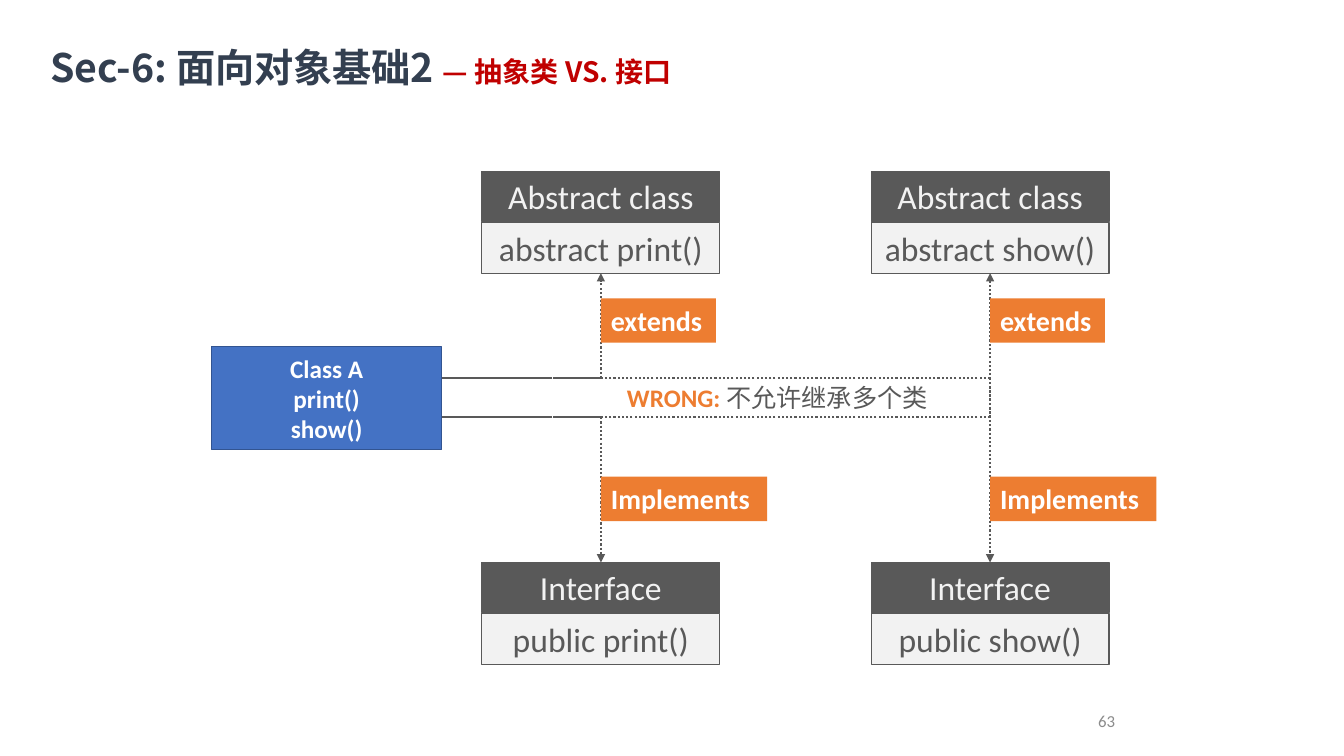
from lxml.etree import SubElement
from pptx import Presentation
from pptx.dml.color import RGBColor
from pptx.enum.dml import MSO_LINE_DASH_STYLE as DASH
from pptx.enum.shapes import MSO_CONNECTOR as CONN, MSO_SHAPE as SHAPE
from pptx.enum.text import MSO_ANCHOR as ANCHOR, MSO_AUTO_SIZE as AUTO, PP_ALIGN as ALIGN
from pptx.oxml.ns import qn
from pptx.util import Inches, Pt

LATIN, CJK = "Calibri", "Noto Sans CJK SC"
DARK, LIGHT, ORANGE, BLUE, WHITE = "595959", "F2F2F2", "ED7D31", "4472C4", "FFFFFF"

TITLE = [("Sec-6: 面向对象基础2 ", 28, "333F50", True, CJK),
         ("— 抽象类 VS. 接口", 20, "C00000", True, CJK)]
WARNING = [("WRONG: ", 18, ORANGE, True, LATIN),
           ("不允许继承多个类", 18, DARK, False, CJK)]
CLASS_A = ["Class A", "print()", "show()"]
METHODS = ["print()", "show()"]
ROWS = [
    {"head": "Abstract class", "prefix": "abstract", "top": 1.7, "tip": 2.71, "branch": 3.75,
     "label": "extends", "label_top": 2.96, "label_width": 1.14},
    {"head": "Interface", "prefix": "public", "top": 5.58, "tip": 5.58, "branch": 4.14,
     "label": "Implements", "label_top": 4.73, "label_width": 1.65},
]
BOX_LEFT, BOX_STEP, BOX_W, BOX_H = 4.78, 3.86, 2.36, 0.5
CLASS_LEFT, CLASS_TOP, CLASS_W, CLASS_H = 2.1, 3.44, 2.28, 1.02


def color(value):
    return RGBColor.from_string(value)


def style_run(r, size, hue, bold, face):
    r.font.size = Pt(size)
    r.font.bold = bold
    r.font.name = face
    r.font.color.rgb = color(hue)
    if face == CJK:
        SubElement(r._r.get_or_add_rPr(), qn("a:ea"), typeface=face)


def add_runs(p, parts):
    for text, *style in parts:
        r = p.add_run()
        r.text = text
        style_run(r, *style)


def add_box(s, x, y, w, h, lines, fill, edge, weight, size, hue, bold, align, anchor=ANCHOR.TOP):
    sp = s.shapes.add_shape(SHAPE.RECTANGLE, Inches(x), Inches(y), Inches(w), Inches(h))
    sp.shadow.inherit = False
    sp.fill.solid()
    sp.fill.fore_color.rgb = color(fill)
    if edge:
        sp.line.color.rgb = color(edge)
        sp.line.width = Pt(weight)
    else:
        sp.line.fill.background()
    tf = sp.text_frame
    tf.vertical_anchor = anchor
    tf.text = "\n".join(lines)
    for p in tf.paragraphs:
        p.alignment = align
        style_run(p.runs[0], size, hue, bold, LATIN)


def add_line(s, x1, y1, x2, y2, arrow=False):
    line = s.shapes.add_connector(CONN.STRAIGHT, Inches(x1), Inches(y1), Inches(x2), Inches(y2))
    line.line.color.rgb = color(DARK)
    line.line.width = Pt(1.5)
    line.line.dash_style = DASH.ROUND_DOT
    if arrow:
        SubElement(line.line._get_or_add_ln(), qn("a:tailEnd"), type="triangle")
    SubElement(line._element.spPr, qn("a:effectLst"))


def add_text(s, x, y, w, h):
    tf = s.shapes.add_textbox(Inches(x), Inches(y), Inches(w), Inches(h)).text_frame
    tf.word_wrap = True
    return tf


def add_title(s):
    title = s.shapes.title
    title.left, title.top, title.width, title.height = map(Inches, (0.5, 0.42, 7.27, 0.48))
    tf = title.text_frame
    tf.auto_size = AUTO.NONE
    tf.vertical_anchor = ANCHOR.TOP
    tf.margin_left = tf.margin_right = tf.margin_bottom = 0
    tf.margin_top = Inches(0.01)
    p = tf.paragraphs[0]
    p.alignment = ALIGN.LEFT
    add_runs(p, TITLE)


def add_branches(s):
    start = CLASS_LEFT + CLASS_W
    for row in ROWS:
        for col in range(len(METHODS)):
            center = BOX_LEFT + col * BOX_STEP + BOX_W / 2
            far_branch = ROWS[1 - ROWS.index(row)]["branch"]
            stem = far_branch if col else row["branch"]
            add_line(s, center, row["branch"], start, row["branch"])
            add_line(s, center, stem, center, row["tip"], arrow=True)


def add_types(s):
    for row in ROWS:
        for col, method in enumerate(METHODS):
            x = BOX_LEFT + col * BOX_STEP
            add_box(s, x, row["top"], BOX_W, BOX_H, [row["head"]],
                    DARK, DARK, 0.75, 24, LIGHT, False, ALIGN.CENTER)
            add_box(s, x, row["top"] + BOX_H + 0.01, BOX_W, BOX_H, [f"{row['prefix']} {method}"],
                    LIGHT, DARK, 0.75, 24, DARK, False, ALIGN.CENTER)
            add_box(s, x + BOX_W / 2, row["label_top"], row["label_width"], 0.44, [row["label"]],
                    ORANGE, None, 0, 20, WHITE, True, ALIGN.LEFT)


def main():
    prs = Presentation()
    prs.slide_width, prs.slide_height = Inches(13.33), Inches(7.5)
    s = prs.slides.add_slide(prs.slide_layouts[5])
    add_title(s)
    add_branches(s)
    add_types(s)
    add_box(s, CLASS_LEFT, CLASS_TOP, CLASS_W, CLASS_H, CLASS_A,
            BLUE, "325491", 1, 18, WHITE, True, ALIGN.CENTER, ANCHOR.MIDDLE)
    add_runs(add_text(s, 6.12, 3.74, 3.39, 0.4).paragraphs[0], WARNING)
    tf = add_text(s, 8.83, 6.95, 2.33, 0.4)
    tf.vertical_anchor = ANCHOR.MIDDLE
    p = tf.paragraphs[0]
    p.alignment = ALIGN.RIGHT
    add_runs(p, [("63", 12, "8C8C8C", False, LATIN)])
    prs.save("out.pptx")


if __name__ == "__main__":
    main()
